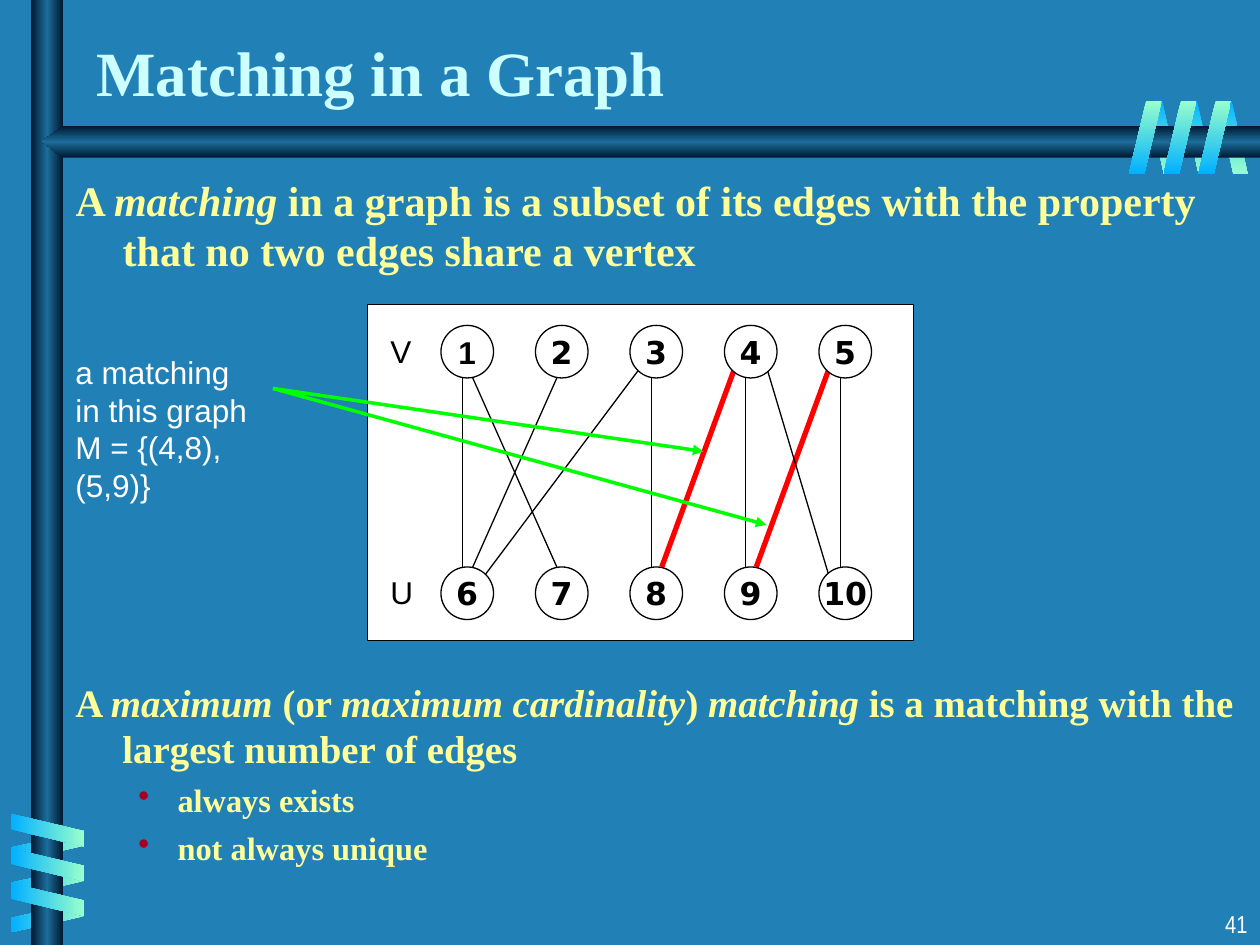
from lxml import etree
from pptx import Presentation
from pptx import util as u
from pptx.dml.color import RGBColor
from pptx.enum import shapes, text
from pptx.oxml import ns

Cm, Pt = u.Cm, u.Pt
hues = {
    "back": "2181B7", "sky": "01B0FF", "mint": "99FFCC", "navy": "001932",
    "steel": "1C6D9A", "title": "CCFFFF", "body": "FFFF99", "dot": "A50021",
    "white": "FFFFFF", "black": "000000", "red": "FF0000", "green": "00FF00",
}
serif = "Times New Roman"


def write(frame, words, size=18, face="Arial", hue="black", bold=False,
          align=None, left=0, hang=0, before=0, bullet=None):
    para = frame.add_paragraph() if frame.text else frame.paragraphs[0]
    para.alignment = align
    para.line_spacing = 1.0
    para.space_before = Pt(before)
    props = para._p.get_or_add_pPr()
    props.set("marL", str(Cm(left)))
    props.set("indent", str(-Cm(hang)))
    if bullet:
        tint = etree.SubElement(props, ns.qn("a:buClr"))
        etree.SubElement(tint, ns.qn("a:srgbClr"), val=hues["dot"])
        etree.SubElement(props, ns.qn("a:buChar"), char=bullet)
    else:
        etree.SubElement(props, ns.qn("a:buNone"))
    for i, part in enumerate(words.split("*")):
        if part:
            run = para.add_run()
            run.text = part
            font = run.font
            font.size, font.name, font.bold = Pt(size), face, bold
            font.italic = i % 2 == 1
            font.color.rgb = RGBColor.from_string(hues[hue])


def paint(shape, stops, angle=0, line=None):
    shape.shadow.inherit = False
    if len(stops) == 1:
        shape.fill.solid()
        shape.fill.fore_color.rgb = RGBColor.from_string(hues[stops[0]])
    else:
        shape.fill.gradient()
        shape.fill.gradient_angle = -angle % 360
        grad = shape._element.spPr.find(ns.qn("a:gradFill"))
        grad.set("rotWithShape", "0")
        ramp = grad.find(ns.qn("a:gsLst"))
        for stop in list(ramp):
            ramp.remove(stop)
        for i, name in enumerate(stops):
            spot = str(100000 * i // (len(stops) - 1))
            stop = etree.SubElement(ramp, ns.qn("a:gs"), pos=spot)
            etree.SubElement(stop, ns.qn("a:srgbClr"), val=hues[name])
    if line:
        shape.line.color.rgb = RGBColor.from_string(hues[line])
        shape.line.width = Pt(0.75)
    else:
        shape.line.fill.background()


deck = Presentation()
deck.slide_width, deck.slide_height = Cm(25.4), Cm(19.05)
slide = deck.slides.add_slide(deck.slide_layouts[1])
slide.background.fill.solid()
slide.background.fill.fore_color.rgb = RGBColor.from_string(hues["back"])
tree = slide.shapes
kinds = shapes.MSO_SHAPE

up, down = ["sky", "mint"], ["mint", "sky"]
bar = ["navy", "steel", "navy"]
coils = [
    (24.54, 2.03, -0.7, 0, 0.61, 180, True, up, 90),
    (0.66, 16.33, 0, 0.71, 0.61, 90, True, down, 0),
    "bars",
    (0.63, 16, 0, 0.7, 0.66, 270, False, up, 0),
    (24.16, 2.03, -0.7, 0, 0.66, 0, False, down, 90),
]
for coil in coils:
    if coil == "bars":
        post = tree.add_shape(kinds.RECTANGLE, Cm(0.63), 0, Cm(0.64), Cm(19.05))
        paint(post, bar)
        pen = tree.build_freeform(Cm(25.4), Cm(2.54))
        edge = [(1.27, 2.54), (0.84, 2.85), (1.27, 3.18), (25.4, 3.18)]
        pen.add_line_segments([(Cm(x), Cm(y)) for x, y in edge])
        paint(pen.convert_to_shape(), bar, 90)
        continue
    x, y, dx, dy, wide, turn, flip, stops, angle = coil
    for i in range(3):
        strip = tree.add_shape(kinds.PARALLELOGRAM, Cm(x + i * dx),
                               Cm(y + i * dy), Cm(wide), Cm(1.47))
        strip.adjustments[0] = 0.53
        strip.rotation = turn
        if flip:
            strip._element.spPr.xfrm.set("flipH", "1")
        paint(strip, stops, angle)

title, body = tree.title, slide.placeholders[1]
lead = dict(face=serif, hue="body", bold=True, left=0.95, hang=0.95)
for holder, box, anchor in [
    (title, (1.69, 0.42, 21.08, 1.91), text.MSO_ANCHOR.BOTTOM),
    (body, (1.27, 3.39, 24.13, 2.48), text.MSO_ANCHOR.TOP),
]:
    holder.left, holder.top, holder.width, holder.height = map(Cm, box)
    holder.text_frame.vertical_anchor = anchor
    holder.text_frame.auto_size = text.MSO_AUTO_SIZE.NONE
write(title.text_frame, "Matching in a Graph", size=36, face=serif,
      hue="title", bold=True, align=text.PP_ALIGN.LEFT)
write(body.text_frame, "A *matching* in a graph is a subset of its edges with "
      "the property that no two edges share a vertex", size=24, **lead)

panel = tree.add_shape(kinds.RECTANGLE, Cm(7.41), Cm(6.14), Cm(11), Cm(6.78))
paint(panel, ["white"], line="black")

first, gap, ball = 8.89, 1.905, 1.06
high, low = 6.56, 11.43
near, inner, outer, far = 0.21, 0.43, 0.64, 0.85
links = [
    (1, inner, 6, inner), (1, outer, 7, inner), (3, inner, 8, inner),
    (4, inner, 9, inner), (5, inner, 10, inner), (2, inner, 6, outer),
    (3, near, 6, far), (4, near, 8, outer), (5, near, 9, outer),
    (4, far, 10, near),
]
match = [(4, 8), (5, 9)]
lines = []
for v, dv, w, dw in links:
    start = (first + (v - 1) * gap + dv, high + ball - near * (dv in (near, far)))
    end = (first + (w - 6) * gap + dw, low + near * (dw in (near, far)))
    hot = (v, w) in match
    lines.append((start, end, "red" if hot else "black", 3 if hot else 0.75))
count = len(lines)
lines += [((5.5, 7.83), (15.45, 10.58), "green", 2),
          ((5.5, 7.83), (14.18, 9.1), "green", 2)]

for i, (start, end, hue, wide) in enumerate(lines):
    if i == count:
        for n in range(10):
            row, col = divmod(n, 5)
            node = tree.add_shape(kinds.OVAL, Cm(first + col * gap),
                                  Cm(low if row else high), Cm(ball), Cm(ball))
            paint(node, ["white"], line="black")
            node.text_frame.word_wrap = False
            node.text_frame.vertical_anchor = text.MSO_ANCHOR.MIDDLE
            write(node.text_frame, str(n + 1), bold=True,
                  face="DejaVu Sans" if n else "Arial",
                  align=text.PP_ALIGN.CENTER)
    link = tree.add_connector(shapes.MSO_CONNECTOR.STRAIGHT,
                              *map(Cm, start + end))
    link.line.color.rgb = RGBColor.from_string(hues[hue])
    link.line.width = Pt(wide)
    if hue == "green":
        etree.SubElement(link.line._get_or_add_ln(), ns.qn("a:tailEnd"),
                         type="triangle")
    etree.SubElement(link._element.spPr, ns.qn("a:effectLst"))

note = ["a matching", "in this graph", "M = {(4,8), (5,9)}"]
small = dict(size=18.5, face=serif, hue="body", bold=True, left=2.06,
             hang=0.79, before=5, bullet="•")
labels = [
    ((7.62, 6.56, 0.91, 1.02), False, [("V", {})]),
    ((7.62, 11.43, 0.97, 1.02), False, [("U", {})]),
    ((1.27, 6.99, 5.13, 2.54), False, [(row, dict(hue="white")) for row in note]),
    ((1.27, 13.55, 24.13, 4.23), True, [
        ("A *maximum *(or *maximum cardinality*)* matching* is a matching "
         "with the largest number of edges", dict(size=22.2, **lead)),
        ("always exists", small),
        ("not always unique", small)]),
    ((20.11, 18.2, 5.29, 0.85), True, [
        ("41", dict(size=14, face="Arial Narrow", hue="white",
                    align=text.PP_ALIGN.RIGHT))]),
]
for box, wrap, rows in labels:
    frame = tree.add_textbox(*map(Cm, box)).text_frame
    frame.word_wrap = wrap
    for words, form in rows:
        write(frame, words, **form)

deck.save("out.pptx")
